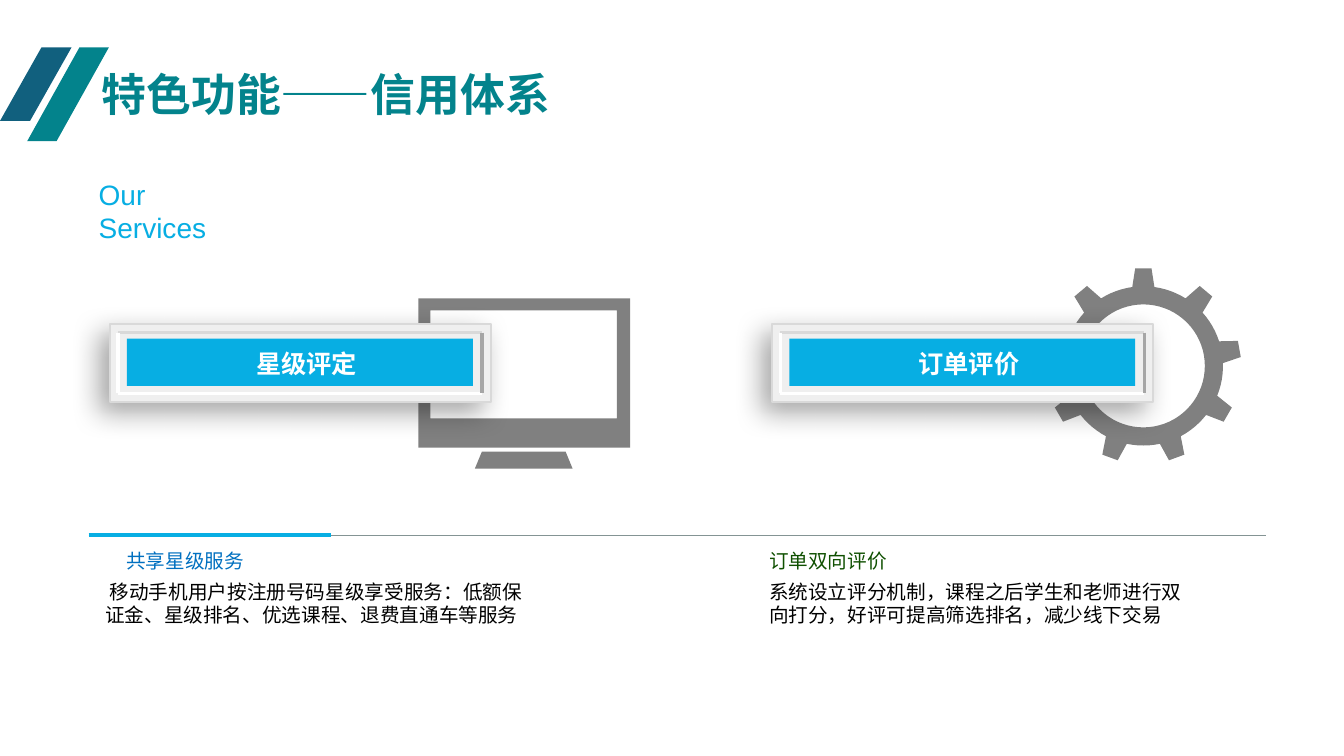
from dataclasses import dataclass
from math import cos, radians, sin

from lxml.etree import SubElement
from pptx import Presentation
from pptx.dml.color import RGBColor
from pptx.enum.lang import MSO_LANGUAGE_ID
from pptx.enum.shapes import MSO_CONNECTOR, MSO_SHAPE
from pptx.enum.text import MSO_ANCHOR, MSO_AUTO_SIZE, PP_ALIGN
from pptx.oxml.ns import qn
from pptx.shapes.autoshape import Shape
from pptx.util import Inches, Pt

Point = tuple[float, float]
Box = tuple[float, float, float, float]

BLUE = "07AEE3"
TEAL = "03838C"
GRAY = "808080"
WHITE = "FFFFFF"
SANS = "Noto Sans CJK SC"


@dataclass
class Text:
    box: Box
    lines: list[str]
    size: float
    color: str
    font: str = "Arial"
    bold: bool = False
    wrap: bool = True
    align: PP_ALIGN = PP_ALIGN.LEFT
    middle: bool = False
    before: float = 0


@dataclass
class Slant:
    box: Box
    skew: float
    color: str


@dataclass
class Line:
    start: Point
    end: Point
    color: str
    width: float


@dataclass
class Plate:
    left: float
    label: str


def tint(code: str) -> RGBColor:
    return RGBColor.from_string(code)


def paint(shape: Shape, color: str) -> None:
    shape.shadow.inherit = False
    shape.fill.solid()
    shape.fill.fore_color.rgb = tint(color)
    shape.line.fill.background()


def add_form(shapes, kind: MSO_SHAPE, box: Box, color: str) -> Shape:
    shape = shapes.add_shape(kind, *map(Inches, box))
    paint(shape, color)
    return shape


def add_text(shapes, item: Text) -> None:
    frame = shapes.add_textbox(*map(Inches, item.box)).text_frame
    frame.word_wrap = item.wrap
    frame.auto_size = MSO_AUTO_SIZE.NONE if item.middle else MSO_AUTO_SIZE.SHAPE_TO_FIT_TEXT
    frame.vertical_anchor = MSO_ANCHOR.MIDDLE if item.middle else MSO_ANCHOR.TOP
    frame.text = "\n".join(item.lines)
    for para in frame.paragraphs:
        para.alignment = item.align
        para.space_before = Pt(item.before)
        para.font.name = item.font
        para.font.size = Pt(item.size)
        para.font.bold = item.bold
        para.font.color.rgb = tint(item.color)
        para.font.language_id = MSO_LANGUAGE_ID.SIMPLIFIED_CHINESE


def add_line(shapes, item: Line) -> None:
    ends = map(Inches, item.start + item.end)
    line = shapes.add_connector(MSO_CONNECTOR.STRAIGHT, *ends)
    line.line.color.rgb = tint(item.color)
    line.line.width = Pt(item.width)
    SubElement(line.element.spPr, qn("a:effectLst"))


def add_free(shapes, paths: list[list[Point]], color: str) -> None:
    first, *rest = [[(Inches(x), Inches(y)) for x, y in path] for path in paths]
    pen = shapes.build_freeform(*first[0])
    pen.add_line_segments(first[1:], close=True)
    for path in rest:
        pen.move_to(*path[0])
        pen.add_line_segments(path[1:], close=True)
    paint(pen.convert_to_shape(), color)


def block(left: float, top: float, right: float, base: float) -> list[Point]:
    return [(left, top), (right, top), (right, base), (left, base)]


def add_screen(shapes) -> None:
    stand = [(4.78, 4.48), (5.61, 4.48), (5.68, 4.65), (4.71, 4.65)]
    pane = block(4.27, 3.08, 6.12, 4.15)
    case = block(4.15, 2.96, 6.25, 4.44)
    add_free(shapes, [stand, pane[::-1], case], GRAY)


def add_gear(shapes) -> None:
    teeth = 9
    step = 360 / teeth

    def spot(radius: float, angle: float) -> Point:
        turn = radians(angle)
        return 11.34 + radius * sin(turn), 3.63 - radius * cos(turn)

    tooth = [(0.97, -4.8), (0.97, 4.8)]
    arc = [(0.79, angle) for angle in range(8, 33, 4)]
    rim = [spot(radius, angle + index * step)
           for index in range(teeth) for radius, angle in tooth + arc]
    hole = [spot(0.61, -angle) for angle in range(0, 360, 5)]
    add_free(shapes, [hole, rim], GRAY)


def add_shade(shape: Shape) -> None:
    effect = shape.element.spPr.find(qn("a:effectLst"))
    shade = SubElement(effect, qn("a:outerShdw"), blurRad=str(Pt(20)),
                       dist=str(Pt(10)), dir=str(136 * 60000), algn="ctr", rotWithShape="0")
    color = SubElement(shade, qn("a:srgbClr"), val="000000")
    SubElement(color, qn("a:alpha"), val="34000")


def add_plate(shapes, plate: Plate) -> None:
    group = shapes.add_group_shape().shapes
    left, top = plate.left, 3.21
    base = add_form(group, MSO_SHAPE.RECTANGLE, (left, top, 3.78, 0.78), "EFEFEF")
    base.line.color.rgb = tint("D9D9D9")
    base.line.width = Pt(1.5)
    add_shade(base)
    nw, ne, se, sw = block(left + 0.08, top + 0.09, left + 3.69, top + 0.69)
    for start, end, color in [(se, sw, WHITE), (ne, nw, "D9D9D9"),
                              (ne, se, "A6A6A6"), (nw, sw, WHITE)]:
        add_line(group, Line(start, end, color, 2.25))
    add_form(group, MSO_SHAPE.RECTANGLE, (left + 0.17, top + 0.15, 3.43, 0.47), BLUE)
    add_text(group, Text((left + 0.29, top + 0.18, 3.32, 0.44), [plate.label], 18, WHITE,
                         bold=True, align=PP_ALIGN.CENTER, middle=True, before=3.6))


HEADS = [
    Text((0.91, 0.61, 4.69, 0.64), ["特色功能——信用体系"], 32, TEAL, bold=True, wrap=False),
    Text((0.88, 1.71, 2.82, 1.04), ["Our", "Services"], 20, BLUE),
]
SLANTS = [
    Slant((0, 0.47, 0.71, 0.73), 0.58, "11607E"),
    Slant((0.27, 0.47, 0.81, 0.93), 0.64, TEAL),
]
RULES = [
    Line((0.88, 5.31), (12.56, 5.31), "849494", 0.5),
    Line((0.88, 5.31), (3.28, 5.31), BLUE, 3),
]
PLATES = [Plate(1.09, "星级评定"), Plate(7.66, "订单评价")]
NOTES = [
    Text((0.68, 5.4, 1.84, 0.34), ["共享星级服务"], 14, "0070C0", SANS, align=PP_ALIGN.RIGHT),
    Text((0.81, 5.7, 4.47, 0.81),
         ["移动手机用户按注册号码星级享受服务：低额保证金、星级排名、优选课程、退费直通车等服务 "],
         14, "000000", SANS, align=PP_ALIGN.RIGHT),
    Text((7.53, 5.4, 1.84, 0.34), ["订单双向评价"], 14, "0F5000", SANS),
    Text((7.53, 5.7, 4.37, 0.57),
         ["系统设立评分机制，课程之后学生和老师进行双向打分，好评可提高筛选排名，减少线下交易"],
         14, "000000", SANS),
]


def main() -> None:
    deck = Presentation()
    deck.slide_width, deck.slide_height = Inches(13.33), Inches(7.5)
    shapes = deck.slides.add_slide(deck.slide_layouts[6]).shapes
    marks = shapes.add_group_shape().shapes
    for slant in SLANTS:
        form = add_form(marks, MSO_SHAPE.PARALLELOGRAM, slant.box, slant.color)
        form.adjustments[0] = slant.skew
    add_screen(shapes)
    add_gear(shapes)
    for rule in RULES:
        add_line(shapes, rule)
    for plate in PLATES:
        add_plate(shapes, plate)
    for text in HEADS + NOTES:
        add_text(shapes, text)
    deck.save("out.pptx")


if __name__ == "__main__":
    main()
